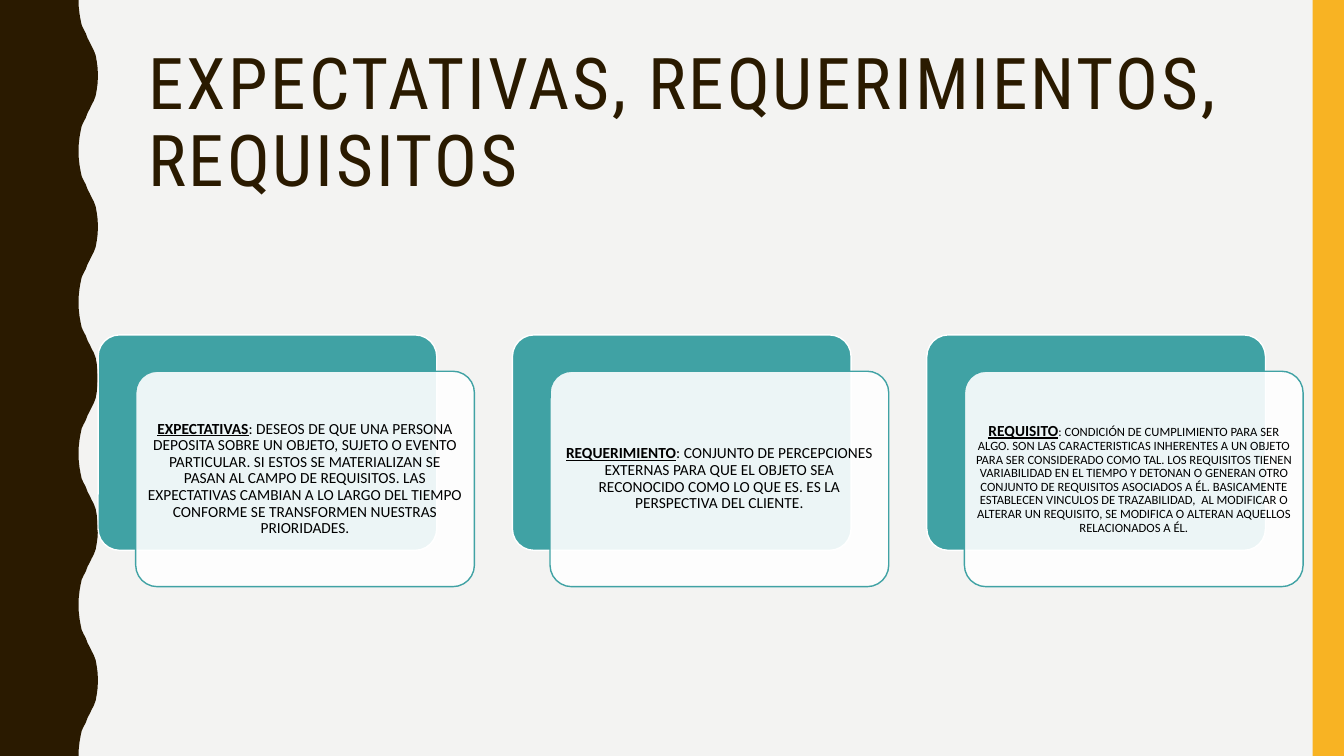
from dataclasses import dataclass

from lxml import etree
from pptx import Presentation
from pptx.dml.color import RGBColor
from pptx.enum.shapes import MSO_SHAPE
from pptx.enum.text import MSO_ANCHOR, MSO_AUTO_SIZE, PP_ALIGN
from pptx.oxml.ns import qn
from pptx.util import Inches, Pt

RECTANGLE = MSO_SHAPE.RECTANGLE
ROUNDED = MSO_SHAPE.ROUNDED_RECTANGLE
MIDDLE = MSO_ANCHOR.MIDDLE
NO_AUTOFIT = MSO_AUTO_SIZE.NONE
LEFT, CENTER = PP_ALIGN.LEFT, PP_ALIGN.CENTER


@dataclass(frozen=True)
class Theme:
    background: str = "F3F3F2"
    dark: str = "2A1A00"
    accent: str = "F8B323"
    teal: str = "40A2A4"
    white: str = "FFFFFF"
    black: str = "000000"
    title_font: str = "Roboto Condensed"
    body_font: str = "Calibri"
    title_size: int = 51
    term_size: int = 11
    small_size: int = 9
    line_spacing: float = 0.9


class SlideBuilder:
    """Lengths are percentages of the slide's width and height."""

    def __init__(self, prs, theme):
        self.theme = theme
        self.width, self.height = prs.slide_width, prs.slide_height
        self.slide = prs.slides.add_slide(prs.slide_layouts[5])
        background = self.slide.background.fill
        background.solid()
        background.fore_color.rgb = RGBColor.from_string(theme.background)

    def x(self, share):
        return round(self.width * share / 100)

    def y(self, share):
        return round(self.height * share / 100)

    def box(self, left, top, width, height):
        return self.x(left), self.y(top), self.x(width), self.y(height)

    def paint(self, shape, fill, line=None, opacity=100):
        shape.shadow.inherit = False
        shape.fill.solid()
        shape.fill.fore_color.rgb = RGBColor.from_string(fill)
        if opacity < 100:
            color = shape.fill._xPr.find(qn("a:solidFill"))[0]
            etree.SubElement(color, qn("a:alpha"), val=str(opacity * 1000))
        if line:
            shape.line.color.rgb = RGBColor.from_string(line)
            shape.line.width = Pt(1)
        else:
            shape.line.fill.background()

    def style_run(self, run, font, size, color, emphasis=False):
        run.font.name, run.font.size = font, Pt(size)
        run.font.color.rgb = RGBColor.from_string(color)
        run.font.bold = run.font.underline = emphasis

    def title(self, text, *place):
        heading = self.slide.shapes.title
        heading.left, heading.top, heading.width, heading.height = self.box(*place)
        frame = heading.text_frame
        frame.text = text
        frame.word_wrap, frame.auto_size = True, NO_AUTOFIT
        frame.vertical_anchor = MIDDLE
        paragraph = frame.paragraphs[0]
        paragraph.alignment = LEFT
        paragraph.line_spacing = self.theme.line_spacing
        run = paragraph.runs[0]
        self.style_run(run, self.theme.title_font, self.theme.title_size, self.theme.dark)
        run.font._element.set("spc", "200")

    def bar(self, color, *place):
        self.paint(self.slide.shapes.add_shape(RECTANGLE, *self.box(*place)), color)

    def outline(self, color, points):
        corners = [(self.x(px), self.y(py)) for px, py in points]
        builder = self.slide.shapes.build_freeform(*corners[0])
        builder.add_line_segments(corners[1:], close=True)
        self.paint(builder.convert_to_shape(), color)

    def panel(self, place, fill, line, opacity=100):
        panel = self.slide.shapes.add_shape(ROUNDED, *self.box(*place))
        panel.adjustments[0] = 0.1
        self.paint(panel, fill, line, opacity)
        return panel

    def card(self, left, top, width, height, term, meaning, size):
        theme = self.theme
        self.panel((left, top, width, height), theme.teal, theme.white)
        front = self.panel((left + 2.8, top + 4.8, width, height),
                           theme.white, theme.teal, opacity=90)
        frame = front.text_frame
        frame.word_wrap, frame.vertical_anchor = True, MIDDLE
        frame.margin_left = frame.margin_right = Inches(0.05)
        frame.margin_top = frame.margin_bottom = Inches(0.05)
        paragraph = frame.paragraphs[0]
        paragraph.alignment = CENTER
        paragraph.line_spacing = theme.line_spacing
        for text, points, emphasis in ((term, theme.term_size, True),
                                       (meaning, size, False)):
            run = paragraph.add_run()
            run.text = text
            self.style_run(run, theme.body_font, points, theme.black, emphasis)


# Half a wave, from the trough to the crest
HALF_WAVE = [
    (5.85, 0), (5.86, 0.93), (5.92, 1.87), (6, 2.67), (6.08, 3.33),
    (6.22, 3.87), (6.38, 4.4), (6.52, 5.07), (6.68, 5.6), (6.82, 6.13),
    (6.98, 6.67), (7.12, 7.33), (7.2, 8.13), (7.27, 9.07), (7.28, 10),
]
WAVE_PERIOD, WAVE_COUNT = 20, 5


def wave_edge():
    falling = [(px, WAVE_PERIOD - py) for px, py in reversed(HALF_WAVE[:-1])]
    return [(px, py + WAVE_PERIOD * turn)
            for turn in range(WAVE_COUNT) for px, py in HALF_WAVE + falling]


def main():
    theme = Theme()
    prs = Presentation()
    prs.slide_width, prs.slide_height = Inches(13.33), Inches(7.5)
    page = SlideBuilder(prs, theme)

    # Side decoration
    page.outline(theme.dark, [(0, 0), *wave_edge(), (0, 100)])
    page.bar(theme.accent, 97.66, 0, 2.34, 100)

    # Title
    page.title("EXPECTATIVAS, REQUERIMIENTOS, REQUISITOS", 10.28, 5.6, 83.5, 21.73)

    # Definition cards
    definitions = [
        ("EXPECTATIVAS",
         ": DESEOS DE QUE UNA PERSONA DEPOSITA SOBRE UN OBJETO, SUJETO O EVENTO "
         "PARTICULAR. SI ESTOS SE MATERIALIZAN SE PASAN AL CAMPO DE REQUISITOS. LAS "
         "EXPECTATIVAS CAMBIAN A LO LARGO DEL TIEMPO CONFORME SE TRANSFORMEN NUESTRAS "
         "PRIORIDADES.", theme.term_size),
        ("REQUERIMIENTO",
         ": CONJUNTO DE PERCEPCIONES EXTERNAS PARA QUE EL OBJETO SEA RECONOCIDO COMO "
         "LO QUE ES. ES LA PERSPECTIVA DEL CLIENTE.", theme.term_size),
        ("REQUISITO",
         ": CONDICIÓN DE CUMPLIMIENTO PARA SER ALGO. SON LAS CARACTERISTICAS INHERENTES "
         "A UN OBJETO PARA SER CONSIDERADO COMO TAL. LOS REQUISITOS TIENEN VARIABILIDAD "
         "EN EL TIEMPO Y DETONAN O GENERAN OTRO CONJUNTO DE REQUISITOS ASOCIADOS A ÉL. "
         "BASICAMENTE ESTABLECEN VINCULOS DE TRAZABILIDAD,  AL MODIFICAR O ALTERAR UN "
         "REQUISITO, SE MODIFICA O ALTERAN AQUELLOS RELACIONADOS A ÉL.",
         theme.small_size),
    ]
    for column, definition in enumerate(definitions):
        page.card(7.3 + 30.83 * column, 44.3, 25.2, 28.5, *definition)

    prs.save("out.pptx")


if __name__ == "__main__":
    main()
